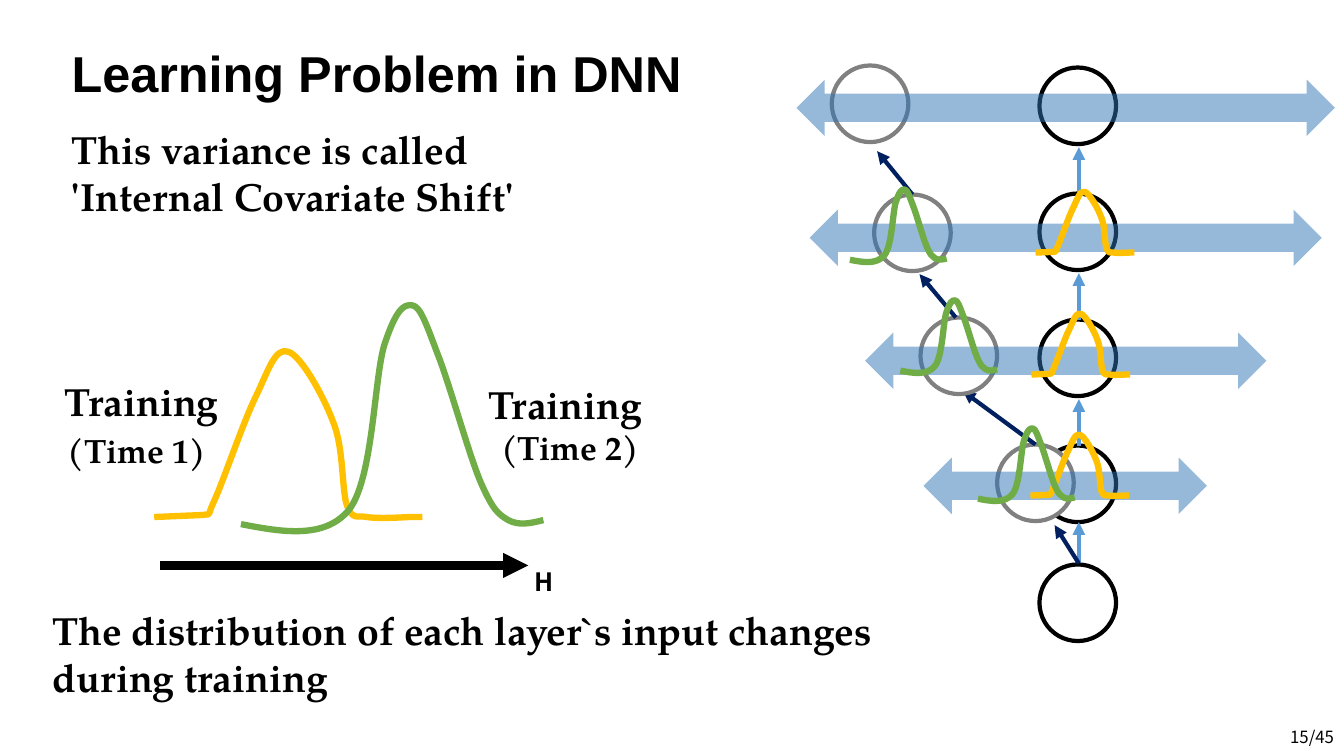
import pptx
import pptx.dml.color
import pptx.enum.shapes
import pptx.enum.text
import pptx.oxml.ns
import pptx.util
from lxml import etree
from pptx.util import Inches

COLORS = {
    "ink": "000000", "paper": "FFFFFF", "gray": "808080", "band": "2E75B6",
    "blue": "5B9BD5", "navy": "002060", "time1": "FFC000", "time2": "70AD47",
}
SERIF = "TeX Gyre Pagella"
SANS = "Noto Sans CJK KR"
SHAPES = pptx.enum.shapes.MSO_SHAPE
ALIGN = pptx.enum.text.PP_ALIGN
CIRCLE = 0.76
CENTER_X = 10.7

# Each curve: bounding box, start point, then segments.
# A segment is a line (end point) or a Bezier curve (two controls and an end).
TIME1_CURVE = ((1.53, 3.48, 2.66, 1.66), (1.53, 5.13), [
    [(2.01, 5.11)],
    [(2.11, 5.09), (2.04, 5.15), (2.13, 4.96)],
    [(2.22, 4.76), (2.42, 4.17), (2.54, 3.93)],
    [(2.66, 3.68), (2.73, 3.44), (2.86, 3.49)],
    [(2.99, 3.53), (3.22, 3.95), (3.31, 4.2)],
    [(3.41, 4.45), (3.39, 4.86), (3.44, 5.01)],
    [(3.5, 5.17), (3.54, 5.11), (3.64, 5.13)],
    [(3.75, 5.15), (4.06, 5.13), (4.06, 5.13)],
    [(4.19, 5.13)],
])
TIME2_CURVE = ((2.39, 3.03, 3, 2.24), (2.39, 5.2), [
    [(2.8, 5.28), (3.22, 5.35), (3.46, 5.06)],
    [(3.7, 4.76), (3.71, 3.77), (3.81, 3.43)],
    [(3.92, 3.09), (4, 3.01), (4.09, 3.03)],
    [(4.17, 3.04), (4.23, 3.22), (4.34, 3.51)],
    [(4.46, 3.81), (4.65, 4.51), (4.77, 4.79)],
    [(4.89, 5.06), (4.94, 5.1), (5.04, 5.16)],
    [(5.15, 5.22), (5.27, 5.19), (5.39, 5.16)],
])


def rgb(name):
    return pptx.dml.color.RGBColor.from_string(COLORS[name])


def add_element(parent, tag, **attributes):
    return etree.SubElement(parent, pptx.oxml.ns.qn(tag), **attributes)


def style_span(span, size, font, bold=True):
    span.font.size = pptx.util.Pt(size)
    span.font.name = font
    span.font.bold = bold
    span.font.color.rgb = rgb("ink")


def add_title(page, text, left, top, width, height):
    title = page.shapes.title
    title.left, title.top = Inches(left), Inches(top)
    title.width, title.height = Inches(width), Inches(height)
    frame = title.text_frame
    frame.text = text
    frame.auto_size = pptx.enum.text.MSO_AUTO_SIZE.NONE
    frame.vertical_anchor = pptx.enum.text.MSO_ANCHOR.MIDDLE
    para = frame.paragraphs[0]
    para.alignment = ALIGN.LEFT
    para.line_spacing = 0.9
    style_span(para.runs[0], 36, "Arial")


def add_text(page, text, place, size=28, font=SERIF, align=ALIGN.LEFT,
             bold=True, wrap=True):
    box = page.shapes.add_textbox(*map(Inches, place))
    frame = box.text_frame
    frame.word_wrap = wrap
    frame.text = text
    for para in frame.paragraphs:
        para.alignment = align
        for span in para.runs:
            style_span(span, size, font, bold)
    return box


def add_curve_label(page, text, place):
    """Add a two-line label whose second line is smaller."""
    box = add_text(page, text, place, align=ALIGN.CENTER)
    para = box.text_frame.paragraphs[0]
    para.runs[1].font.size = pptx.util.Pt(24)
    return para


def add_circle(page, left, top, color):
    circle = page.shapes.add_shape(
        SHAPES.OVAL, *map(Inches, (left, top, CIRCLE, CIRCLE)))
    circle.shadow.inherit = False
    circle.fill.solid()
    circle.fill.fore_color.rgb = rgb("paper")
    circle.line.color.rgb = rgb(color)
    circle.line.width = pptx.util.Pt(3)


def add_arrow(page, start, end, color, weight=3):
    arrow = page.shapes.add_connector(
        pptx.enum.shapes.MSO_CONNECTOR.STRAIGHT, *map(Inches, start + end))
    arrow.line.color.rgb = rgb(color)
    arrow.line.width = pptx.util.Pt(weight)
    add_element(arrow.line._get_or_add_ln(), "a:tailEnd", type="triangle")
    add_element(arrow._element.spPr, "a:effectLst")


def add_band(page, left, top, width):
    """Add a half-transparent double arrow showing a layer's spread."""
    band = page.shapes.add_shape(
        SHAPES.LEFT_RIGHT_ARROW, *map(Inches, (left, top, width, 0.56)))
    band.shadow.inherit = False
    band.fill.solid()
    band.fill.fore_color.rgb = rgb("band")
    band.line.fill.background()
    color = band._element.spPr.find(".//" + pptx.oxml.ns.qn("a:srgbClr"))
    add_element(color, "a:alpha", val="50000")


def add_curve(page, curve, color, place=None):
    """Draw a distribution curve, fitted into place (its own box by default)."""
    (left, top, width, height), start, segments = curve
    builder = page.shapes.build_freeform(*map(Inches, start))
    builder.add_line_segments(
        [tuple(map(Inches, segment[-1])) for segment in segments], close=False)
    line = builder.convert_to_shape()
    line.left, line.top, line.width, line.height = map(Inches, place or curve[0])
    line.shadow.inherit = False
    line.fill.background()
    line.line.color.rgb = rgb(color)
    line.line.width = pptx.util.Pt(4.5)

    outline = line._element.spPr.find(".//" + pptx.oxml.ns.qn("a:path"))
    for step in list(outline):
        outline.remove(step)
    outline.set("w", str(Inches(width)))
    outline.set("h", str(Inches(height)))
    for index, points in enumerate([[start]] + segments):
        tag = "a:moveTo" if index == 0 else (
            "a:lnTo" if len(points) == 1 else "a:cubicBezTo")
        step = add_element(outline, tag)
        for x, y in points:
            add_element(step, "a:pt", x=str(Inches(x - left)), y=str(Inches(y - top)))


def add_network(page):
    for top in (5.6, 4.42, 3.17, 1.92, 0.67):
        add_circle(page, 10.31, top, "ink")
    for start, end in ((5.59, 5.18), (4.42, 3.96), (3.17, 2.71), (1.92, 1.46)):
        add_arrow(page, (CENTER_X, start), (CENTER_X, end), "blue")

    shifted_layers = [
        ((10.7, 5.59), (10.46, 5.21), (9.89, 4.41)),
        ((10.27, 4.41), (9.55, 3.88), (9.13, 3.15)),
        ((9.48, 3.15), (9.12, 2.72), (8.67, 1.93)),
        ((9.05, 1.93), (8.7, 1.5), (8.25, 0.65)),
    ]
    for start, end, corner in shifted_layers:
        add_arrow(page, start, end, "navy")
        add_circle(page, *corner, "gray")

    for band in ((9.16, 4.54, 2.81), (8.58, 3.3, 3.98),
                 (8.03, 2.08, 5.08), (7.9, 0.79, 5.34)):
        add_band(page, *band)


def add_distribution_plot(page):
    add_arrow(page, (1.59, 5.61), (5.24, 5.61), "ink", 6)
    add_text(page, "H", (5.2, 5.57, 0.4, 0.4), 18, SANS, ALIGN.CENTER, wrap=False)
    add_curve(page, TIME1_CURVE, "time1")
    add_curve(page, TIME2_CURVE, "time2")
    label = add_curve_label(page, "Training\v(Time 1)", (0.31, 3.69, 2.19, 1.04))
    space = label.add_run()
    space.text = " "
    style_span(space, 28, SERIF)
    add_curve_label(page, "Training \v(Time 2)", (4.56, 3.72, 2.19, 0.98))


def add_layer_curves(page):
    for time1, time2 in (((10.22, 4.31), (9.7, 4.25)),
                         ((10.23, 3.11), (8.93, 2.98)),
                         ((10.27, 1.9), (8.43, 1.88))):
        add_curve(page, TIME1_CURVE, "time1", time1 + (0.98, 0.61))
        add_curve(page, TIME2_CURVE, "time2", time2 + (0.96, 0.72))


def main():
    deck = pptx.Presentation()
    deck.slide_width, deck.slide_height = Inches(13.33), Inches(7.5)
    page = deck.slides.add_slide(deck.slide_layouts.get_by_name("Title Only"))
    add_title(page, "Learning Problem in DNN", 0.61, 0.43, 8.24, 0.65)
    add_text(page, "This variance is called\n'Internal Covariate Shift'",
             (0.61, 1.19, 7.25, 1.04))
    add_network(page)
    add_distribution_plot(page)
    add_text(page, "The distribution of each layer`s input changes during training",
             (0.42, 5.97, 8.5, 1.04))
    add_layer_curves(page)
    number = add_text(page, "15/45", (10.33, 7.11, 3, 0.4), 12, SANS,
                      ALIGN.RIGHT, bold=False)
    number.text_frame.vertical_anchor = pptx.enum.text.MSO_ANCHOR.MIDDLE
    deck.save("out.pptx")


if __name__ == "__main__":
    main()
